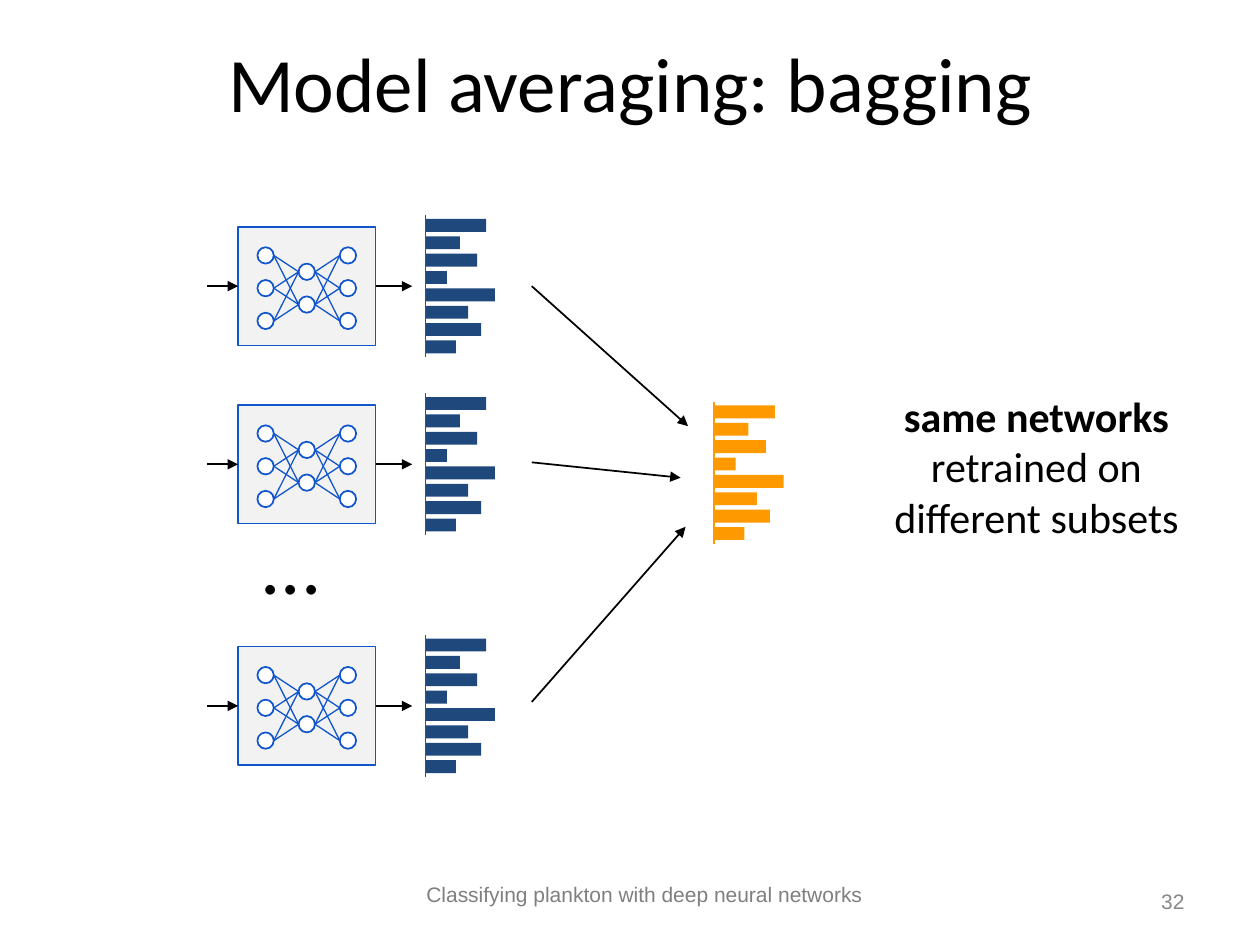
import itertools

import pptx
import pptx.dml.color
import pptx.enum.shapes
import pptx.enum.text
import pptx.oxml
import pptx.oxml.ns
import pptx.util
from pptx.util import Cm

COLORS = {
    "black": "000000", "white": "FFFFFF", "panel": "F2F2F2", "outline": "1155CC",
    "bar": "1F497D", "average": "FF9900", "footer": "7F7F7F", "number": "888888",
}
SHAPE = pptx.enum.shapes.MSO_SHAPE
ALIGN = pptx.enum.text.PP_ALIGN
ANCHOR = pptx.enum.text.MSO_ANCHOR

# All lengths below are in centimetres
ROW_CENTERS = (5.77, 9.36, 14.23)
BOX_LEFT, BOX_WIDTH, BOX_HEIGHT = 4.8, 2.77, 2.39
NODE_SIZE, COLUMN_GAP, NODE_GAP, NODE_SHIFT = 0.33, 0.83, 0.66, 0.04
BAR_LENGTHS = (1.22, 0.69, 1.04, 0.43, 1.4, 0.86, 1.12, 0.61)
BAR_HEIGHT, BAR_PITCH, AXIS_HALF = 0.26, 0.35, 1.43
AXIS_X = 8.58


def rgb(name):
    return pptx.dml.color.RGBColor.from_string(COLORS[name])


def add_text(slide, box, runs, size, font="Calibri", color="black",
             align=ALIGN.CENTER, anchor=ANCHOR.TOP, inset=0.25):
    """Add a one-paragraph text box; runs are (text, bold) pairs."""
    frame = slide.shapes.add_textbox(*map(Cm, box)).text_frame
    frame.word_wrap = True
    frame.vertical_anchor = anchor
    frame.margin_top = frame.margin_bottom = Cm(inset)
    paragraph = frame.paragraphs[0]
    paragraph.alignment = align
    for text, bold in runs:
        run = paragraph.add_run()
        run.text = text
        run.font.name = font
        run.font.size = pptx.util.Pt(size)
        run.font.bold = bold
        run.font.color.rgb = rgb(color)


def add_filled(shapes, kind, box, fill, line=None):
    shape = shapes.add_shape(kind, *map(Cm, box))
    shape.shadow.inherit = False
    shape.fill.solid()
    shape.fill.fore_color.rgb = rgb(fill)
    if line:
        shape.line.color.rgb = rgb(line)
        shape.line.width = pptx.util.Pt(1)
    else:
        shape.line.fill.background()


def add_line(shapes, start, end, color="black", width=1, arrow=False):
    connector = shapes.add_connector(
        pptx.enum.shapes.MSO_CONNECTOR.STRAIGHT, *map(Cm, (*start, *end)))
    connector.line.color.rgb = rgb(color)
    connector.line.width = pptx.util.Pt(width)
    if arrow:
        tail = pptx.oxml.parse_xml(
            f'<a:tailEnd {pptx.oxml.ns.nsdecls("a")} type="triangle" w="med" len="med"/>')
        connector.line._get_or_add_ln().append(tail)
    connector._element.spPr.append(
        pptx.oxml.parse_xml(f'<a:effectLst {pptx.oxml.ns.nsdecls("a")}/>'))


def add_network(slide, center_y):
    """Draw a boxed 3-2-3 network with its nodes and links."""
    shapes = slide.shapes.add_group_shape().shapes
    add_filled(shapes, SHAPE.RECTANGLE,
               (BOX_LEFT, center_y - BOX_HEIGHT / 2, BOX_WIDTH, BOX_HEIGHT),
               "panel", "outline")
    center_x = BOX_LEFT + BOX_WIDTH / 2
    layers = [
        [(center_x + column * COLUMN_GAP,
          center_y + NODE_SHIFT + (index - (count - 1) / 2) * NODE_GAP)
         for index in range(count)]
        for column, count in ((-1, 3), (0, 2), (1, 3))
    ]
    radius = NODE_SIZE / 2
    for x, y in itertools.chain(*layers):
        add_filled(shapes, SHAPE.OVAL,
                   (x - radius, y - radius, NODE_SIZE, NODE_SIZE), "white", "outline")
    for left_layer, right_layer in zip(layers, layers[1:]):
        for (x1, y1), (x2, y2) in itertools.product(left_layer, right_layer):
            add_line(shapes, (x1 + radius, y1), (x2 - radius, y2), "outline", 0.75)


def add_bars(slide, axis_x, center_y, fill, axis_color):
    """Draw the predicted distribution as horizontal bars on an axis."""
    shapes = slide.shapes.add_group_shape().shapes
    middle = (len(BAR_LENGTHS) - 1) / 2
    for index, length in enumerate(BAR_LENGTHS):
        top = center_y + (index - middle) * BAR_PITCH - BAR_HEIGHT / 2
        add_filled(shapes, SHAPE.RECTANGLE, (axis_x, top, length, BAR_HEIGHT), fill)
    add_line(shapes, (axis_x, center_y - AXIS_HALF), (axis_x, center_y + AXIS_HALF),
             axis_color)


def add_model_row(slide, center_y):
    box_right = BOX_LEFT + BOX_WIDTH
    add_network(slide, center_y)
    add_bars(slide, AXIS_X, center_y, "bar", "outline")
    for start, end in ((4.17, BOX_LEFT), (box_right, 8.31)):
        add_line(slide.shapes, (start, center_y), (end, center_y), arrow=True)


def main():
    presentation = pptx.Presentation()
    presentation.slide_width, presentation.slide_height = Cm(25.4), Cm(19.05)
    slide = presentation.slides.add_slide(presentation.slide_layouts[6])

    # Footer, slide number and title
    add_text(slide, (3.18, 17.65, 19.63, 0.76),
             [("Classifying plankton with deep neural networks", False)],
             12, "Arial", "footer", inset=0.13)
    add_text(slide, (21.64, 17.65, 2.49, 1.02), [("32", False)],
             12, "Arial", "number", ALIGN.RIGHT, ANCHOR.MIDDLE, 0.13)
    add_text(slide, (-0.08, 0.46, 25.58, 2.21), [("Model averaging: bagging", False)], 44)

    # Individual models
    for center_y in ROW_CENTERS:
        add_model_row(slide, center_y)
    add_text(slide, (3.89, 10.11, 3.96, 1.98), [("...", False)], 46)

    # Averaged prediction
    for start_y, end in ((5.77, (13.87, 8.59)), (9.32, (13.72, 9.63)),
                         (14.15, (13.82, 10.62))):
        add_line(slide.shapes, (10.72, start_y), end, arrow=True)
    add_bars(slide, 14.4, 9.53, "average", "average")

    # Explanation
    add_text(slide, (17.07, 7.62, 7.65, 3.84),
             [("same networks", True), (" retrained on different subsets", False)], 24)

    presentation.save("out.pptx")


if __name__ == "__main__":
    main()
